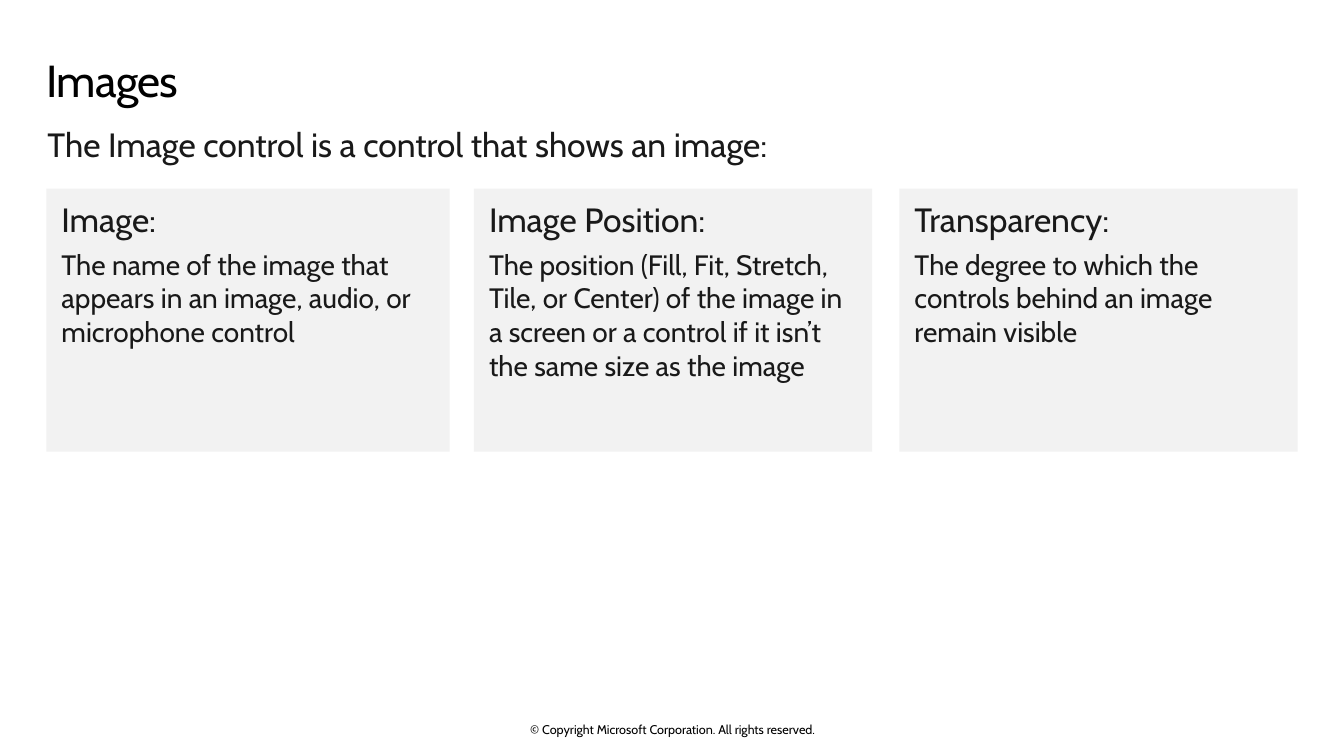
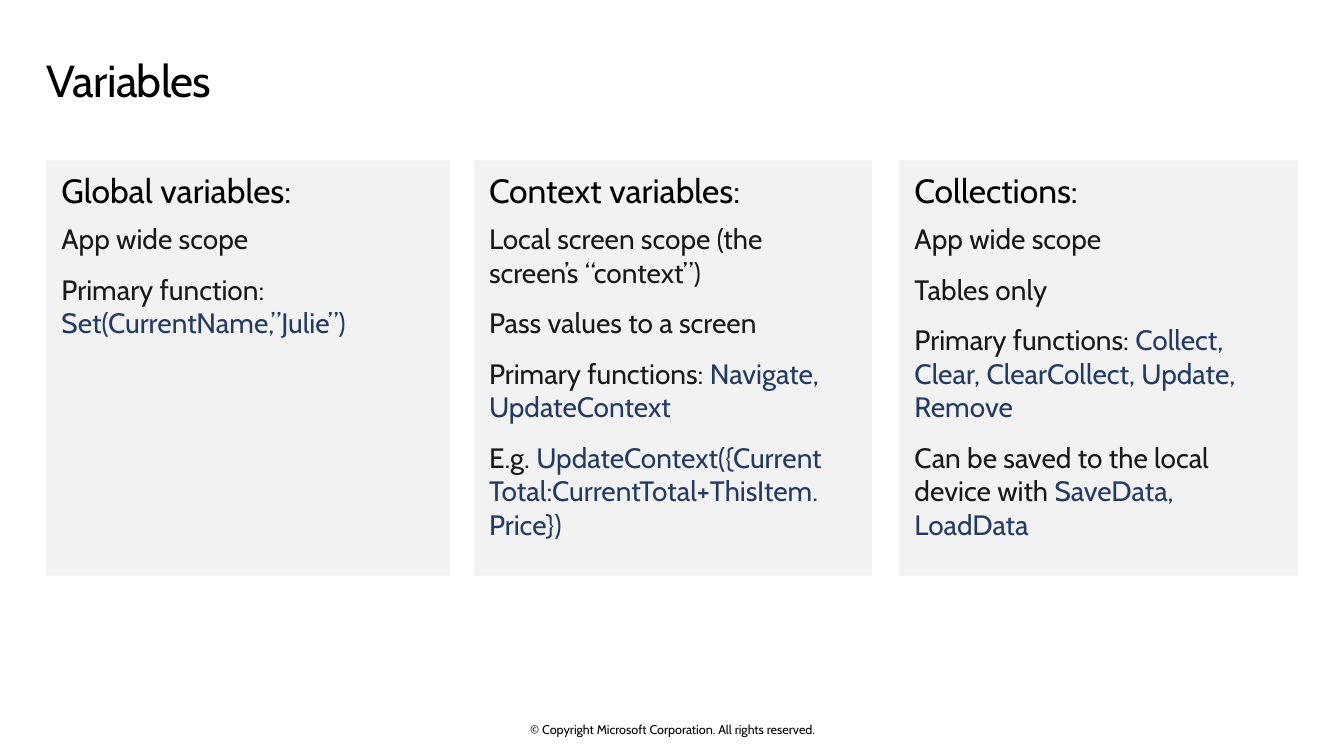
import pptx
import pptx.dml.color
import pptx.enum.shapes
import pptx.enum.text
import pptx.util

Inches = pptx.util.Inches
Pt = pptx.util.Pt

FONT = "Cabin"
COLORS = {
    "background": "FFFFFF",
    "title": "000000",
    "body": "191919",
    "code": "243A5E",
    "card": "F2F2F2",
}
FOOTER = "© Copyright Microsoft Corporation. All rights reserved."
CARD_COLUMNS = [(0.46, 4), (4.7, 3.95), (8.92, 3.95)]
CARD_INSETS = (0.15, 0.1, 0.16, 0.1)

SLIDES = [
    {
        "title": "Images",
        "lead": "The Image control is a control that shows an image:",
        "card_top": 1.87,
        "card_height": 2.61,
        "heading_color": "body",
        "heading_gap": 6,
        "item_gap": 6,
        "cards": [
            ("Image:", [
                [("The name of the image that appears in an image, audio, or microphone control", "body")],
            ]),
            ("Image Position:", [
                [("The position (Fill, Fit, Stretch, Tile, or Center) of the image in a screen "
                  "or a control if it isn’t the same size as the image", "body")],
            ]),
            ("Transparency:", [
                [("The degree to which the controls behind an image remain visible", "body")],
            ]),
        ],
    },
    {
        "title": "Variables",
        "lead": None,
        "card_top": 1.59,
        "card_height": 4.12,
        "heading_color": "title",
        "heading_gap": 8,
        "item_gap": 12,
        "cards": [
            ("Global variables:", [
                [("App wide scope", "body")],
                [("Primary function: ", "body"), ("Set(CurrentName,”Julie”)", "code")],
            ]),
            ("Context variables:", [
                [("Local screen scope (the screen’s “context”)", "body")],
                [("Pass values to a screen", "body")],
                [("Primary functions: ", "body"), ("Navigate, UpdateContext", "code")],
                [("E.g. ", "body"),
                 ("UpdateContext({Current\nTotal:CurrentTotal+ThisItem.\nPrice})", "code")],
            ]),
            ("Collections:", [
                [("App wide scope", "body")],
                [("Tables only", "body")],
                [("Primary functions: ", "body"),
                 ("Collect, Clear, ClearCollect, Update, Remove", "code")],
                [("Can be saved to the local device with ", "body"),
                 ("SaveData, LoadData", "code")],
            ]),
        ],
    },
]


def rgb(name):
    return pptx.dml.color.RGBColor.from_string(COLORS[name])


def prepare_frame(shape, insets):
    frame = shape.text_frame
    frame.word_wrap = True
    frame.vertical_anchor = pptx.enum.text.MSO_ANCHOR.TOP
    frame.margin_left, frame.margin_top, frame.margin_right, frame.margin_bottom = map(Inches, insets)
    return frame


def write_paragraph(paragraph, parts, size, gap=0):
    paragraph.alignment = pptx.enum.text.PP_ALIGN.LEFT
    paragraph.space_after = Pt(gap)
    for text, color in parts:
        for number, line in enumerate(text.split("\n")):
            if number:
                paragraph.add_line_break()
            run = paragraph.add_run()
            run.text = line
            run.font.name = FONT
            run.font.size = Pt(size)
            run.font.color.rgb = rgb(color)


def add_label(slide, box, insets, text, size, color):
    frame = prepare_frame(slide.shapes.add_textbox(*map(Inches, box)), insets)
    write_paragraph(frame.paragraphs[0], [(text, color)], size)
    return frame


def add_footer(slide):
    frame = add_label(slide, (4.42, 7.16, 4.5, 0.15), (0, 0, 0, 0), FOOTER, 9, "title")
    frame.vertical_anchor = pptx.enum.text.MSO_ANCHOR.MIDDLE
    frame.paragraphs[0].alignment = pptx.enum.text.PP_ALIGN.CENTER


def add_title(slide, text):
    frame = add_label(slide, (0.46, 0.48, 12.4, 0.7), (0, 0.1, 0.16, 0.1), text, 32, "title")
    paragraph = frame.paragraphs[0]
    paragraph.line_spacing = 0.9
    paragraph.runs[0].font._element.set("spc", "-50")


def add_card(slide, box, heading, items, content):
    card = slide.shapes.add_shape(pptx.enum.shapes.MSO_SHAPE.RECTANGLE, *map(Inches, box))
    card.shadow.inherit = False
    card.fill.solid()
    card.fill.fore_color.rgb = rgb("card")
    card.line.fill.background()
    frame = prepare_frame(card, CARD_INSETS)
    write_paragraph(frame.paragraphs[0], [(heading, content["heading_color"])], 24, content["heading_gap"])
    for parts in items:
        write_paragraph(frame.add_paragraph(), parts, 20, content["item_gap"])


def build_slide(presentation, content):
    slide = presentation.slides.add_slide(presentation.slide_layouts[6])
    slide.background.fill.solid()
    slide.background.fill.fore_color.rgb = rgb("background")
    add_footer(slide)
    add_title(slide, content["title"])
    if content["lead"]:
        add_label(slide, (0.47, 1.18, 12.4, 0.5), (0, 0.05, 0, 0.05), content["lead"], 24, "body")
    for (left, width), (heading, items) in zip(CARD_COLUMNS, content["cards"]):
        box = (left, content["card_top"], width, content["card_height"])
        add_card(slide, box, heading, items, content)


def main():
    presentation = pptx.Presentation()
    presentation.slide_width = Inches(13.33)
    presentation.slide_height = Inches(7.5)
    for content in SLIDES:
        build_slide(presentation, content)
    presentation.save("out.pptx")


if __name__ == "__main__":
    main()
